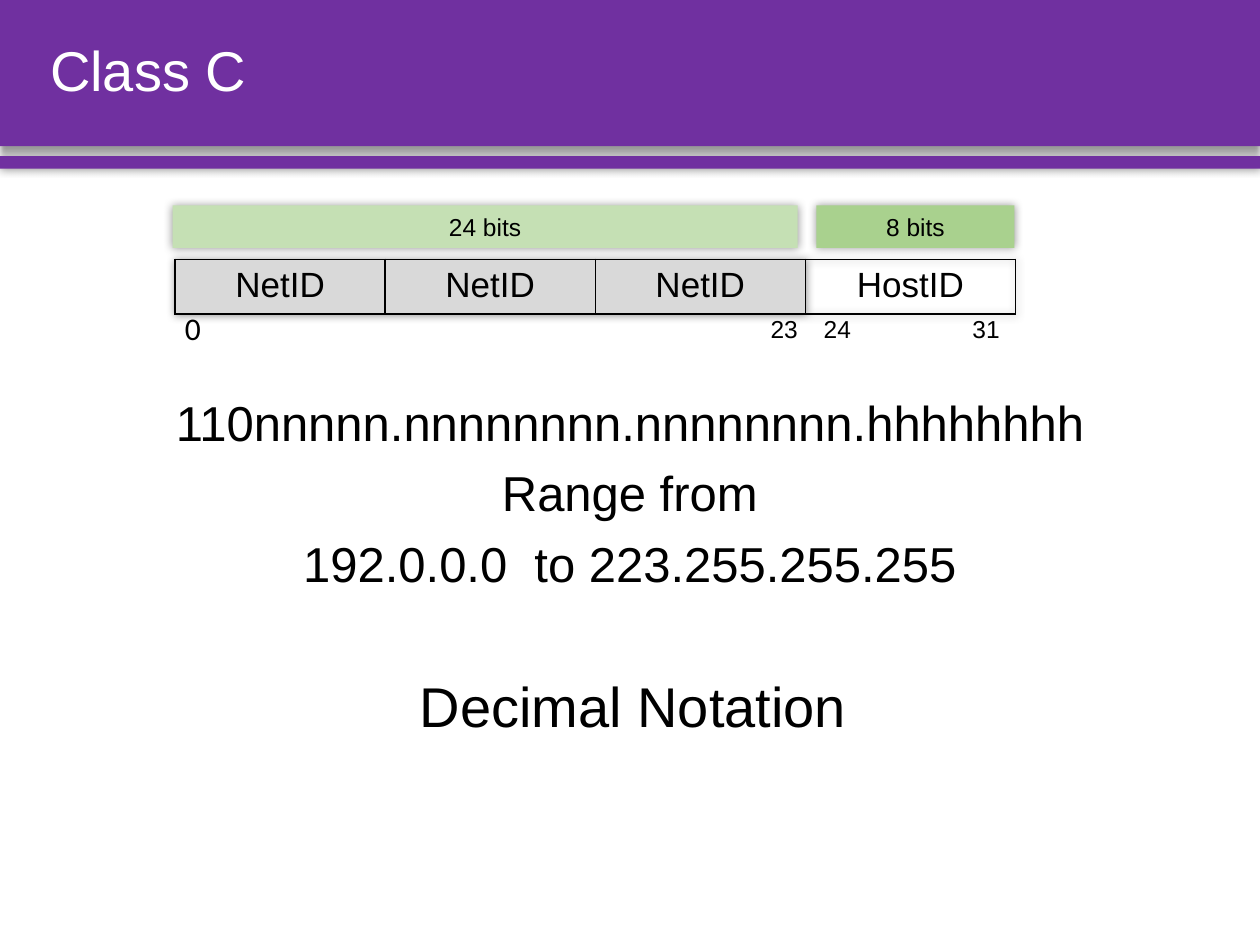
from typing import NamedTuple

from lxml import etree
from pptx import Presentation
from pptx import util as u
from pptx.dml.color import RGBColor
from pptx.enum import shapes, text
from pptx.oxml import ns

COLOURS = {
    "purple": "7030A0",
    "white": "FFFFFF",
    "black": "000000",
    "grey": "D9D9D9",
    "light green": "C5E0B4",
    "green": "A9D18E",
}


class Box(NamedTuple):
    left: float
    top: float
    width: float
    height: float

    def lengths(self):
        return [u.Cm(value) for value in self]


class Bar(NamedTuple):
    box: Box
    colour: str
    label: str = ""
    blur: float = 5
    distance: float = 0
    direction: int = 0


class BitNumber(NamedTuple):
    label: str
    left: float
    width: float = 1.3
    size: float = 14
    font: str = "Arial"


BARS = [
    Bar(Box(0, 0, 25.4, 2.95), "purple", blur=4, distance=3, direction=90),
    Bar(Box(0, 3.15, 25.4, 0.25), "purple"),
    Bar(Box(3.48, 4.14, 12.6, 0.86), "light green", "24 bits"),
    Bar(Box(16.46, 4.14, 3.99, 0.86), "green", "8 bits"),
]
BIT_NUMBERS = [
    BitNumber("0", 3.48, 0.69, 18, "Calibri"),
    BitNumber("23", 15.16),
    BitNumber("24", 16.23),
    BitNumber("31", 19.23),
]
OCTETS = ["NetID", "NetID", "NetID", "HostID"]
ADDRESS_LINES = [
    "110nnnnn.nnnnnnnn.nnnnnnnn.hhhhhhhh",
    "Range from",
    "192.0.0.0  to 223.255.255.255",
]


def colour_of(name: str) -> RGBColor:
    return RGBColor.from_string(COLOURS[name])


def add_colour(parent, name: str):
    return etree.SubElement(parent, ns.qn("a:srgbClr"), val=COLOURS[name])


def write(frame, *lines: str, size: float = 14, font: str = "Arial",
          colour: str = "black", align=text.PP_ALIGN.CENTER,
          line_spacing: float = 1.0, space_before: float = 0) -> None:
    for index, line in enumerate(lines):
        paragraph = frame.add_paragraph() if index else frame.paragraphs[0]
        paragraph.alignment = align
        paragraph.line_spacing = line_spacing
        paragraph.space_before = u.Pt(space_before if index else 0)
        run = paragraph.add_run()
        run.text = line
        run.font.size = u.Pt(size)
        run.font.name = font
        run.font.color.rgb = colour_of(colour)


def add_text(slide, box: Box, *lines: str, anchor=text.MSO_ANCHOR.MIDDLE,
             wrap: bool = True, **style) -> None:
    frame = slide.shapes.add_textbox(*box.lengths()).text_frame
    frame.word_wrap = wrap
    frame.vertical_anchor = anchor
    write(frame, *lines, **style)


def shadow_list(blur: float, distance: float = 0, direction: int = 0):
    """Return an effect list with a 40 % black outer shadow (points, degrees)."""
    effects = etree.Element(ns.qn("a:effectLst"))
    shadow = etree.SubElement(
        effects, ns.qn("a:outerShdw"), blurRad=str(u.Pt(blur)),
        dist=str(u.Pt(distance)), dir=str(direction * 60000), rotWithShape="0")
    etree.SubElement(add_colour(shadow, "black"), ns.qn("a:alpha"), val="40000")
    return effects


def add_bar(slide, bar: Bar) -> None:
    shape = slide.shapes.add_shape(shapes.MSO_SHAPE.RECTANGLE, *bar.box.lengths())
    shape.fill.solid()
    shape.fill.fore_color.rgb = colour_of(bar.colour)
    shape.line.fill.background()
    shape.shadow.inherit = False
    properties = shape.fill._xPr
    properties.replace(properties.find(ns.qn("a:effectLst")),
                       shadow_list(bar.blur, bar.distance, bar.direction))
    if bar.label:
        shape.text_frame.word_wrap = True
        shape.text_frame.auto_size = text.MSO_AUTO_SIZE.SHAPE_TO_FIT_TEXT
        write(shape.text_frame, bar.label)


def add_borders(cell) -> None:
    properties = cell._tc.get_or_add_tcPr()
    for index, side in enumerate(("lnL", "lnR", "lnT", "lnB")):
        line = etree.Element(ns.qn(f"a:{side}"), w=str(u.Pt(1)))
        add_colour(etree.SubElement(line, ns.qn("a:solidFill")), "black")
        properties.insert(index, line)


def add_octet_table(slide, box: Box) -> None:
    table = slide.shapes.add_table(1, len(OCTETS), *box.lengths()).table
    table.first_row = table.horz_banding = False
    table._tbl.tblPr.insert(0, shadow_list(5))
    for cell, label in zip(table.rows[0].cells, OCTETS):
        if label == "NetID":
            cell.fill.solid()
            cell.fill.fore_color.rgb = colour_of("grey")
        else:
            cell.fill.background()
        add_borders(cell)
        write(cell.text_frame, label, size=20)


def main() -> None:
    presentation = Presentation()
    presentation.slide_width, presentation.slide_height = u.Cm(25.4), u.Cm(19.05)
    slide = presentation.slides.add_slide(presentation.slide_layouts[6])

    for bar in BARS:
        add_bar(slide, bar)
    add_text(slide, Box(0.76, 0, 24.03, 2.95), "Class C", size=32, colour="white",
             align=text.PP_ALIGN.LEFT, line_spacing=0.9)
    add_octet_table(slide, Box(3.53, 5.23, 16.94, 1.04))
    for number in BIT_NUMBERS:
        add_text(slide, Box(number.left, 6.25, number.width, 0.74), number.label,
                 wrap=False, size=number.size, font=number.font)
    add_text(slide, Box(3.07, 7.92, 19.25, 4.7), *ADDRESS_LINES, size=28,
             anchor=text.MSO_ANCHOR.TOP, line_spacing=0.9, space_before=10)
    add_text(slide, Box(7.62, 13.06, 10.29, 2.31), "Decimal Notation", size=32)

    presentation.save("out.pptx")


if __name__ == "__main__":
    main()
